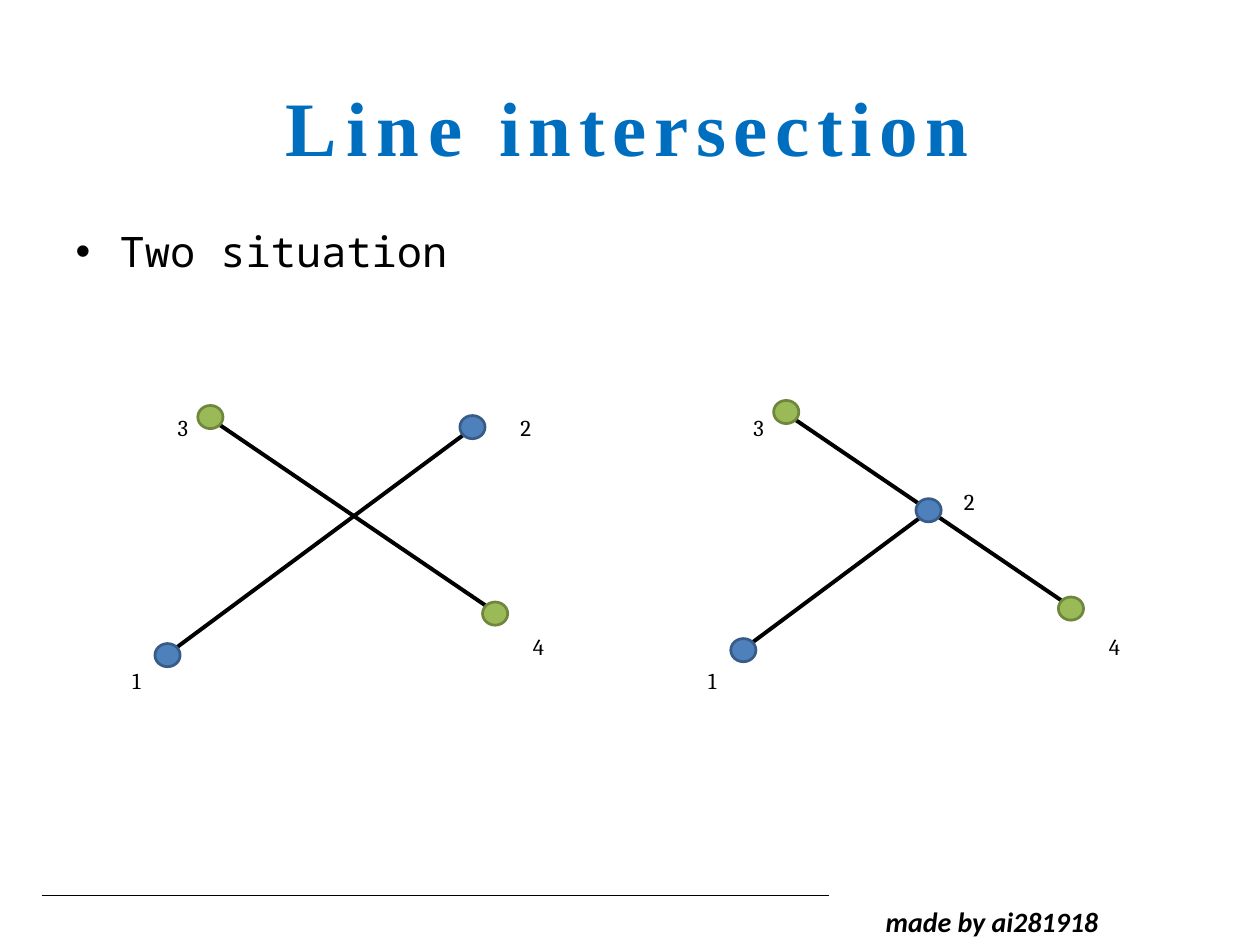
from pptx import Presentation
from pptx.dml.color import RGBColor
from pptx.enum.shapes import MSO_CONNECTOR, MSO_SHAPE
from pptx.oxml.ns import qn
from pptx.util import Inches, Pt
from lxml import etree

OVAL = MSO_SHAPE.OVAL
STRAIGHT = MSO_CONNECTOR.STRAIGHT
COLORS = {
    "title": "006EBF", "ink": "000000",
    "blue": "4E80BB", "blue edge": "375C88",
    "green": "9AB957", "green edge": "6F873D",
}
COLUMNS, ROWS = 100, 75  # grid over the whole slide


def color(name):
    return RGBColor.from_string(COLORS[name])


def add_span(para, text, font="Cambria", size=13, ink="ink", bold=False,
             italic=False, spacing=0):
    """Append text to a paragraph; spacing is in points between letters."""
    span = para.add_run()
    span.text = text
    span.font.name = font
    span.font.size = Pt(size)
    span.font.bold = bold
    span.font.italic = italic
    span.font.color.rgb = color(ink)
    if spacing:
        span.font._element.set("spc", str(round(spacing * 100)))


class SlideBuilder:
    def __init__(self, deck):
        self.page = deck.slides.add_slide(deck.slide_layouts[6])
        self.column = deck.slide_width / COLUMNS
        self.row = deck.slide_height / ROWS

    def place(self, x, y):
        return round(x * self.column), round(y * self.row)

    def line(self, start, end, width):
        connector = self.page.shapes.add_connector(
            STRAIGHT, *self.place(*start), *self.place(*end))
        connector.line.color.rgb = color("ink")
        connector.line.width = Pt(width)
        etree.SubElement(connector._element.spPr, qn("a:effectLst"))

    def node(self, center, fill, width=2, height=1.84):
        x, y = center
        dot = self.page.shapes.add_shape(
            OVAL, *self.place(x - width / 2, y - height / 2),
            *self.place(width, height))
        dot.shadow.inherit = False
        dot.fill.solid()
        dot.fill.fore_color.rgb = color(fill)
        dot.line.color.rgb = color(fill + " edge")
        dot.line.width = Pt(1.56)

    def text(self, corner, size, *spans, bullet_indent=0):
        """Add one paragraph; each span is a (text, format) pair."""
        box = self.page.shapes.add_textbox(
            *self.place(*corner), *self.place(*size))
        frame = box.text_frame
        frame.word_wrap = True
        frame.margin_left = frame.margin_right = 0
        frame.margin_top = frame.margin_bottom = 0
        para = frame.paragraphs[0]
        if bullet_indent:
            indent = round(bullet_indent * self.column)
            properties = para._p.get_or_add_pPr()
            properties.set("marL", str(indent))
            properties.set("indent", str(-indent))
            etree.SubElement(properties, qn("a:buFont"), typeface="Arial")
            etree.SubElement(properties, qn("a:buChar"), char="•")
        for text, style in spans:
            add_span(para, text, **style)

    def segment(self, start, end):
        """Join two nodes, from the edge of one to the edge of the other."""
        (x1, y1), (x2, y2) = start, end
        dx = 0.7 if x2 > x1 else -0.7
        dy = 0.6 if y2 > y1 else -0.6
        self.line((x1 + dx, y1 + dy), (x2 - dx, y2 - dy), 2.28)

    def intersection(self, nodes, labels):
        """Draw segments 1-2 and 3-4 with their numbered end points."""
        self.segment(nodes[1], nodes[2])
        self.segment(nodes[3], nodes[4])
        for number, center in nodes.items():
            self.node(center, "blue" if number < 3 else "green")
        for number, corner in labels.items():
            self.text(corner, (2.4, 2.2), (str(number), {}))


def main():
    deck = Presentation()
    deck.slide_width, deck.slide_height = Inches(10), Inches(7.5)
    slide = SlideBuilder(deck)

    # Title and bullet
    title = dict(font="Times New Roman", size=44, ink="title", bold=True)
    slide.text((22.7, 6.3), (57, 7),
               ("Line ", title | {"spacing": 5.1}),
               ("intersection", title | {"spacing": 4.4}))
    slide.text((6, 17.9), (60, 4.6),
               ("Two situation", dict(font="Noto Sans Mono", size=24)),
               bullet_indent=3.5)

    # Crossing segments, then one segment ending on the other
    nodes = {1: (13.3, 52), 2: (37.5, 33.9), 3: (16.7, 33.1), 4: (39.3, 48.7)}
    labels = {1: (10.5, 52.9), 2: (41.3, 32.8), 3: (14.1, 32.8), 4: (42.3, 50.2)}
    slide.intersection(nodes, labels)

    shift = 45.7
    touching = {n: (x + shift, y - 0.4) for n, (x, y) in nodes.items()}
    touching_labels = {n: (x + shift, y) for n, (x, y) in labels.items()}
    touching[2], touching_labels[2] = (73.7, 40.5), (76.5, 38.7)
    slide.intersection(touching, touching_labels)

    # Footer
    slide.line((3.3, 71.1), (65.8, 71.1), 0.48)
    slide.text((70.3, 71.8), (18.3, 2.7),
               ("made by ai281918",
                dict(font="Calibri", size=16, bold=True, italic=True)))

    deck.save("out.pptx")


if __name__ == "__main__":
    main()
